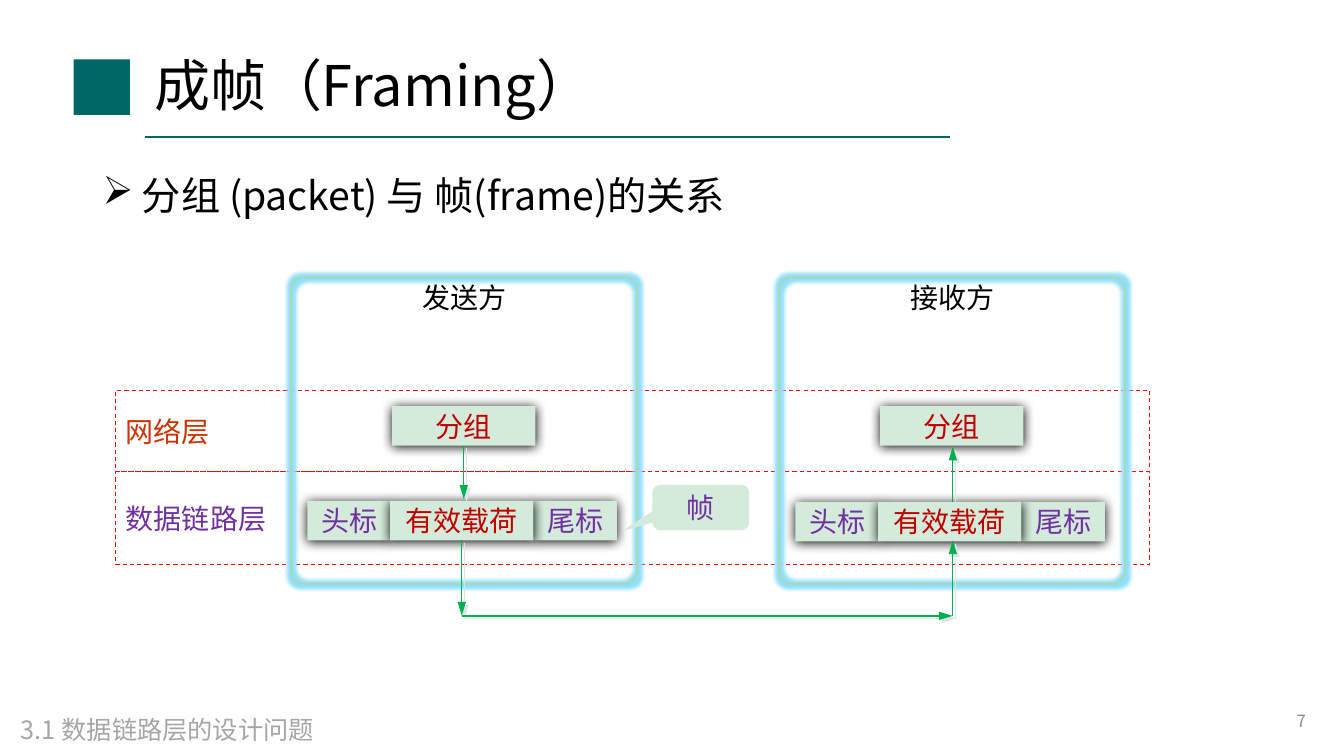
from lxml.etree import SubElement
from pptx import Presentation
from pptx.dml.color import RGBColor
from pptx.enum.dml import MSO_LINE
from pptx.enum.shapes import MSO_CONNECTOR, MSO_SHAPE
from pptx.enum.text import MSO_ANCHOR, PP_ALIGN
from pptx.oxml.ns import qn
from pptx.util import Inches, Pt

FONT = "Noto Sans CJK SC"
COLORS = {
    "teal": "006666", "black": "000000", "page": "8C8C8C", "footer": "A6A6A6",
    "dash": "FF0000", "purple": "7030A0", "orange": "CC3300", "red": "C00000",
    "block": "D4EBDB", "host": "A9D8B7", "arrow": "00B050",
    "glow": "8FDFFF", "arrow_shadow": "DFE3E5",
}

prs = Presentation()
prs.slide_width, prs.slide_height = Inches(13.33), Inches(7.5)
slide = prs.slides.add_slide(prs.slide_layouts[6])
shapes = slide.shapes


def write(shape, text, size, color, align=PP_ALIGN.LEFT, anchor=MSO_ANCHOR.MIDDLE, inset=None):
    """Fill a shape with one formatted paragraph and return that paragraph."""
    frame = shape.text_frame
    frame.text = text
    frame.word_wrap = True
    frame.vertical_anchor = anchor
    if inset is not None:
        frame.margin_left = frame.margin_right = inset
        frame.margin_top = frame.margin_bottom = inset
    paragraph = frame.paragraphs[0]
    paragraph.alignment = align
    font = paragraph.runs[0].font
    font.name, font.size = FONT, Pt(size)
    font.color.rgb = RGBColor.from_string(COLORS[color])
    SubElement(font._element, qn("a:ea"), typeface=FONT)
    return paragraph


def add_effect(element, kind, color, **settings):
    """Give a shape or connector element one glow or shadow."""
    properties = element.spPr
    effects = properties.find(qn("a:effectLst"))
    if effects is None:
        effects = SubElement(properties, qn("a:effectLst"))
    effect = SubElement(effects, qn(f"a:{kind}"), **settings)
    SubElement(effect, qn("a:srgbClr"), val=COLORS[color])


# Heading
emblem = shapes.add_shape(MSO_SHAPE.RECTANGLE, Inches(0.73), Inches(0.59), Inches(0.56), Inches(0.55))
emblem.shadow.inherit = False
emblem.fill.solid()
emblem.fill.fore_color.rgb = RGBColor.from_string(COLORS["teal"])
emblem.line.fill.background()

title_rule = shapes.add_connector(MSO_CONNECTOR.STRAIGHT, Inches(1.44), Inches(1.36), Inches(9.42), Inches(1.36))
title_rule.line.color.rgb = RGBColor.from_string(COLORS["teal"])
title_rule.line.width = Pt(1.5)
SubElement(title_rule._element.spPr, qn("a:effectLst"))

title = shapes.add_textbox(Inches(1.43), Inches(0.4), Inches(8.99), Inches(0.96))
write(title, "成帧（Framing）", 40, "black").line_spacing = 0.9

topic = shapes.add_textbox(Inches(0.92), Inches(1.65), Inches(11.5), Inches(0.64))
topic_line = write(topic, "分组 (packet) 与 帧(frame)的关系", 28, "black", anchor=MSO_ANCHOR.TOP)
bullet_properties = topic_line._p.get_or_add_pPr()
bullet_properties.set("marL", str(Inches(0.39)))
bullet_properties.set("indent", str(-Inches(0.39)))
SubElement(bullet_properties, qn("a:buChar"), char="➢")

page_number = shapes.add_textbox(Inches(9.42), Inches(6.95), Inches(3.63), Inches(0.4))
write(page_number, "7", 12, "page", align=PP_ALIGN.RIGHT)
section = shapes.add_textbox(Inches(0.11), Inches(7.04), Inches(3.29), Inches(0.4))
write(section, "3.1 数据链路层的设计问题", 18, "footer", anchor=MSO_ANCHOR.TOP)

# Layers, dashed across both hosts
for name, color, top, height in [("数据链路层", "purple", 4.68, 0.92), ("网络层", "orange", 3.87, 0.81)]:
    layer = shapes.add_shape(MSO_SHAPE.RECTANGLE, Inches(1.15), Inches(top), Inches(10.25), Inches(height))
    layer.shadow.inherit = False
    layer.fill.background()
    layer.line.color.rgb = RGBColor.from_string(COLORS["dash"])
    layer.line.width = Pt(0.75)
    layer.line.dash_style = MSO_LINE.DASH
    write(layer, name, 20, color)

# Hosts, each with a packet above the three parts of a frame
for name, left, frame_top in [("发送方", 2.89, 4.97), ("接收方", 7.73, 4.98)]:
    host = shapes.add_shape(MSO_SHAPE.ROUNDED_RECTANGLE, Inches(left), Inches(2.75), Inches(3.43), Inches(3.04))
    host.adjustments[0] = 0.041
    host.shadow.inherit = False
    host.fill.background()
    host.line.color.rgb = RGBColor.from_string(COLORS["host"])
    host.line.width = Pt(1.5)
    add_effect(host._element, "glow", "glow", rad=str(Pt(5)))
    write(host, name, 20, "black", PP_ALIGN.CENTER, MSO_ANCHOR.TOP, 0)

    for part, color, offset, top, width in [
        ("分组", "red", 1, 4.03, 1.42),
        ("头标", "purple", 0.16, frame_top, 0.83),
        ("尾标", "purple", 2.4, frame_top, 0.83),
        ("有效载荷", "red", 0.98, frame_top, 1.42),
    ]:
        block = shapes.add_shape(
            MSO_SHAPE.RECTANGLE, Inches(left + offset), Inches(top), Inches(width), Inches(0.39))
        block.shadow.inherit = False
        block.fill.solid()
        block.fill.fore_color.rgb = RGBColor.from_string(COLORS["block"])
        block.line.fill.background()
        add_effect(block._element, "outerShdw", "black",
                   blurRad=str(Pt(8.5)), dist=str(Pt(1)), dir="5400000", rotWithShape="0")
        write(block, part, 20, color, PP_ALIGN.CENTER, inset=0)

# Path of the data from sender to receiver
for x1, y1, x2, y2 in [
    (4.6, 4.42, 4.6, 4.95),
    (9.45, 4.98, 9.45, 4.43),
    (4.58, 5.36, 4.58, 6.11),
    (9.45, 6.11, 9.45, 5.36),
    (4.58, 6.11, 9.45, 6.11),
]:
    arrow = shapes.add_connector(MSO_CONNECTOR.STRAIGHT, Inches(x1), Inches(y1), Inches(x2), Inches(y2))
    arrow.line.color.rgb = RGBColor.from_string(COLORS["arrow"])
    arrow.line.width = Pt(1)
    SubElement(arrow.line._get_or_add_ln(), qn("a:tailEnd"), type="triangle", w="med", len="lg")
    add_effect(arrow._element, "outerShdw", "arrow_shadow", dist=str(Pt(2.8)), dir="2700000")

frame_callout = shapes.add_shape(
    MSO_SHAPE.ROUNDED_RECTANGULAR_CALLOUT, Inches(6.47), Inches(4.81), Inches(0.96), Inches(0.45))
for index, value in enumerate([-0.81, 0.52, 0.17]):
    frame_callout.adjustments[index] = value
frame_callout.shadow.inherit = False
frame_callout.fill.solid()
frame_callout.fill.fore_color.rgb = RGBColor.from_string(COLORS["block"])
frame_callout.line.fill.background()
write(frame_callout, "帧", 20, "purple", PP_ALIGN.CENTER, inset=0)

prs.save("out.pptx")
